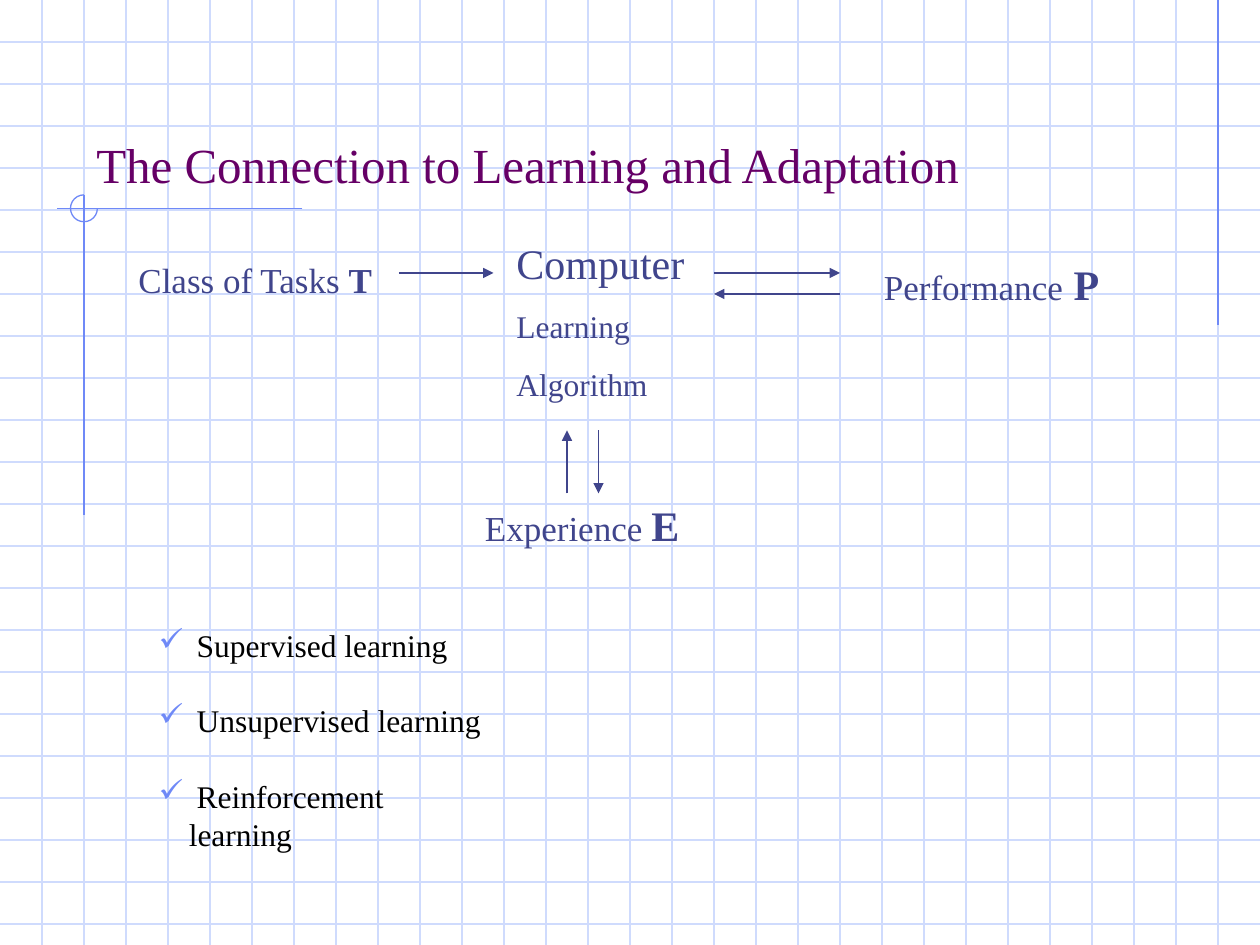
from lxml import etree
from pptx import Presentation
from pptx.dml.color import RGBColor
from pptx.enum.shapes import MSO_CONNECTOR, MSO_SHAPE
from pptx.enum.text import MSO_ANCHOR
from pptx.oxml.ns import qn
from pptx.util import Inches, Pt

STRAIGHT = MSO_CONNECTOR.STRAIGHT
ARC = MSO_SHAPE.ARC
TOP, BOTTOM = MSO_ANCHOR.TOP, MSO_ANCHOR.BOTTOM

WIDTH, HEIGHT = 10, 7.5
CELLS_PER_INCH = 3
COLUMNS, ROWS = WIDTH * CELLS_PER_INCH, HEIGHT * CELLS_PER_INCH
FONT = "Times New Roman"
GRID, ACCENT, INK = "CFDBFD", "6F89F7", "40458C"
PLUM, BLACK = "660066", "000000"


def color(hex_string):
    return RGBColor.from_string(hex_string)


def cells(count):
    return Inches(count / CELLS_PER_INCH)


def add_line(slide, start, end, line_color, arrow=False):
    connector = slide.shapes.add_connector(
        STRAIGHT, *(cells(value) for value in (*start, *end)))
    connector.line.color.rgb = color(line_color)
    connector.line.width = Pt(0.75)
    if arrow:
        etree.SubElement(connector.line._get_or_add_ln(), qn("a:tailEnd"), type="triangle")
    etree.SubElement(connector._element.spPr, qn("a:effectLst"))


def add_grid(slide):
    for row in range(1, int(ROWS) + 1):
        add_line(slide, (0, row), (COLUMNS, row), GRID)
    for column in range(1, COLUMNS):
        add_line(slide, (column, 0), (column, ROWS), GRID)


def add_corner_mark(slide, center, radius):
    column, row = center
    add_line(slide, (7.2, row), (1.35, row), ACCENT)
    add_line(slide, (column, row - radius), (column, 12.27), ACCENT)
    arc = slide.shapes.add_shape(ARC, cells(column - radius), cells(row - radius),
                                 cells(2 * radius), cells(2 * radius))
    arc.adjustments[0] = 0
    arc.adjustments[1] = 162
    arc.fill.background()
    arc.line.color.rgb = color(ACCENT)
    arc.line.width = Pt(0.75)
    arc.shadow.inherit = False


def add_check(paragraph):
    properties = paragraph._p.get_or_add_pPr()
    properties.set("marL", str(Inches(0.24)))
    properties.set("indent", str(-Inches(0.24)))
    bullet_color = etree.SubElement(properties, qn("a:buClr"))
    etree.SubElement(bullet_color, qn("a:srgbClr"), val=ACCENT)
    etree.SubElement(properties, qn("a:buChar"), char="✓")


def add_text(slide, area, paragraphs, text_color, gap=0, anchor=TOP, checked=False):
    box = slide.shapes.add_textbox(*(cells(value) for value in area))
    frame = box.text_frame
    frame.word_wrap = True
    frame.vertical_anchor = anchor
    for index, runs in enumerate(paragraphs):
        paragraph = frame.add_paragraph() if index else frame.paragraphs[0]
        if index:
            paragraph.space_before = Pt(gap)
        if checked:
            add_check(paragraph)
        paragraph.font.name = FONT
        paragraph.font.color.rgb = color(text_color)
        paragraph.font.size = Pt(runs[0][1])
        for text, size, bold in runs:
            run = paragraph.add_run()
            run.text = text
            if size != runs[0][1]:
                run.font.size = Pt(size)
            if bold:
                run.font.bold = True


def add_diagram(slide):
    add_text(slide, (20.75, 6, 11.25, 1.5),
             [[("Performance", 20, False), (" ", 24, False), ("P", 24, True)]], INK)
    add_text(slide, (11.25, 11.75, 7, 1.5),
             [[("Experience ", 20, False), ("E", 24, True)]], INK)
    add_text(slide, (12, 5.5, 8.5, 4.25),
             [[("Computer", 24, False)], [("Learning", 18, False)],
              [("Algorithm", 18, False)]], INK, gap=11.2)
    add_text(slide, (3, 6, 8.25, 1.32),
             [[("Class of Tasks ", 20, False), ("T", 20, True)]], INK)
    arrows = [
        ((9.5, 6.5), (11.75, 6.5)),
        ((14.25, 10.25), (14.25, 11.75)),
        ((13.5, 11.75), (13.5, 10.25)),
        ((17, 6.5), (20, 6.5)),
        ((20, 7), (17, 7)),
    ]
    for start, end in arrows:
        add_line(slide, start, end, INK, arrow=True)


def main():
    presentation = Presentation()
    presentation.slide_width, presentation.slide_height = Inches(WIDTH), Inches(HEIGHT)
    slide = presentation.slides.add_slide(presentation.slide_layouts[6])
    add_grid(slide)
    add_line(slide, (29, 0), (29, 7.75), ACCENT)
    add_corner_mark(slide, (2, 4.96), 0.32)
    add_text(slide, (2, 1, 25.5, 3.75),
             [[("The Connection to Learning and Adaptation", 28, False)]],
             PLUM, anchor=BOTTOM)
    kinds = ("Supervised", "Unsupervised", "Reinforcement")
    add_text(slide, (3.48, 14.76, 8.5, 5.7),
             [[(f" {kind} learning", 18, False)] for kind in kinds],
             BLACK, gap=21.5, checked=True)
    add_diagram(slide)
    presentation.save("out.pptx")


if __name__ == "__main__":
    main()
